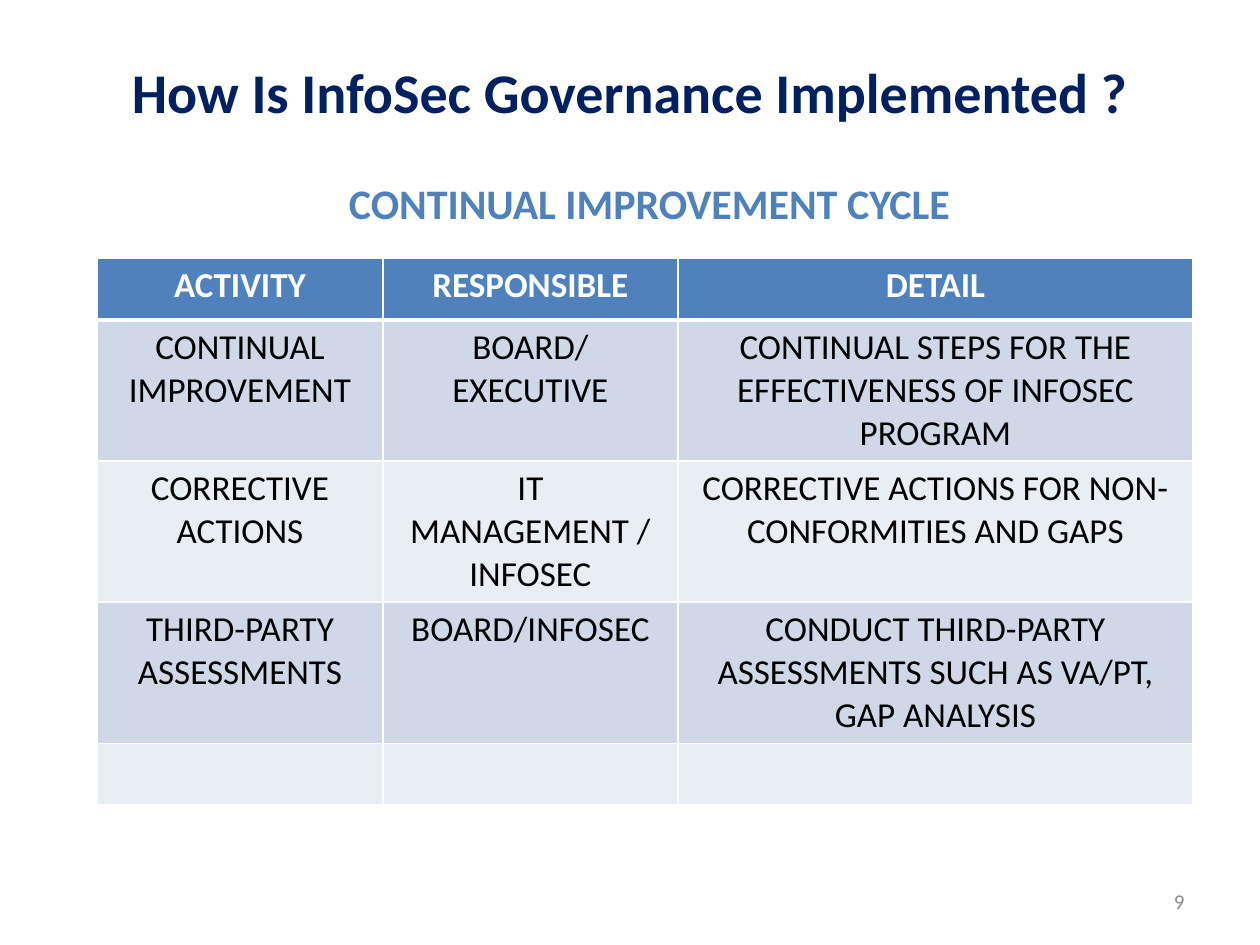
from dataclasses import dataclass

from lxml.etree import SubElement
from pptx import Presentation
from pptx.dml.color import RGBColor
from pptx.enum.text import MSO_ANCHOR, PP_ALIGN
from pptx.oxml.ns import qn
from pptx.util import Inches, Pt

COLORS = {
    "navy": "002060",
    "blue": "4F81BD",
    "band_dark": "D0D8E8",
    "band_light": "E9EDF4",
    "white": "FFFFFF",
    "black": "000000",
    "grey": "8C8C8C",
}
FONT = "Calibri"
COLUMN_WIDTHS = (2.27, 2.34, 4.09)
ROW_HEIGHTS = (0.49, 1.12, 1.12, 1.12, 0.49)
ACTIVITIES = (
    ("ACTIVITY", "RESPONSIBLE", "DETAIL"),
    ("CONTINUAL IMPROVEMENT", "BOARD/ EXECUTIVE",
     "CONTINUAL STEPS FOR THE EFFECTIVENESS OF INFOSEC PROGRAM"),
    ("CORRECTIVE ACTIONS", "IT MANAGEMENT / INFOSEC",
     "CORRECTIVE ACTIONS FOR NON-CONFORMITIES AND GAPS"),
    ("THIRD-PARTY ASSESSMENTS", "BOARD/INFOSEC",
     "CONDUCT THIRD-PARTY ASSESSMENTS SUCH AS VA/PT, GAP ANALYSIS"),
    ("", "", ""),
)


@dataclass(frozen=True)
class TextStyle:
    size: int
    color: str
    bold: bool = False
    align: PP_ALIGN = PP_ALIGN.CENTER


@dataclass(frozen=True)
class Label:
    text: str
    left: float
    top: float
    width: float
    height: float
    style: TextStyle
    anchor: MSO_ANCHOR = MSO_ANCHOR.MIDDLE


LABELS = (
    Label("How Is InfoSec Governance Implemented ?", 0.5, 0.23, 9, 0.98,
          TextStyle(32, "navy", True)),
    Label("CONTINUAL IMPROVEMENT CYCLE", 0.89, 1.36, 8.53, 0.5,
          TextStyle(24, "blue", True), MSO_ANCHOR.TOP),
    Label("9", 7.17, 6.95, 2.33, 0.4,
          TextStyle(12, "grey", align=PP_ALIGN.RIGHT)),
)
HEADER_STYLE = TextStyle(20, "white", True)
BODY_STYLE = TextStyle(20, "black")


def write_text(frame, text: str, style: TextStyle) -> None:
    """Fill the first paragraph of a text frame with one styled run."""
    paragraph = frame.paragraphs[0]
    paragraph.alignment = style.align
    run = paragraph.add_run()
    run.text = text
    run.font.name = FONT
    run.font.size = Pt(style.size)
    run.font.bold = style.bold
    run.font.color.rgb = RGBColor.from_string(COLORS[style.color])


def draw_label(slide, label: Label) -> None:
    """Place a wrapped text box on the slide."""
    box = slide.shapes.add_textbox(Inches(label.left), Inches(label.top),
                                   Inches(label.width), Inches(label.height))
    box.text_frame.word_wrap = True
    box.text_frame.vertical_anchor = label.anchor
    write_text(box.text_frame, label.text, label.style)


def draw_borders(cell, top: int, bottom: int) -> None:
    """Give a cell white borders of the given top and bottom widths in points."""
    properties = cell._tc.get_or_add_tcPr()
    for side, width in (("L", 1), ("R", 1), ("T", top), ("B", bottom)):
        line = SubElement(properties, qn(f"a:ln{side}"), w=str(Pt(width)))
        fill = SubElement(line, qn("a:solidFill"))
        SubElement(fill, qn("a:srgbClr"), val=COLORS["white"])


def draw_activity_table(slide) -> None:
    """Draw the banded table of activities."""
    table = slide.shapes.add_table(
        len(ROW_HEIGHTS), len(COLUMN_WIDTHS), Inches(0.77), Inches(2.05),
        Inches(sum(COLUMN_WIDTHS)), Inches(sum(ROW_HEIGHTS))).table
    for column, width in zip(table.columns, COLUMN_WIDTHS):
        column.width = Inches(width)
    for index, (row, height, texts) in enumerate(
            zip(table.rows, ROW_HEIGHTS, ACTIVITIES)):
        row.height = Inches(height)
        band = "band_dark" if index % 2 else "band_light"
        color = band if index else "blue"
        for cell, text in zip(row.cells, texts):
            draw_borders(cell, 3 if index == 1 else 1, 1 if index else 3)
            cell.fill.solid()
            cell.fill.fore_color.rgb = RGBColor.from_string(COLORS[color])
            if text:
                write_text(cell.text_frame, text,
                           BODY_STYLE if index else HEADER_STYLE)


def main() -> None:
    """Build and save the governance slide."""
    presentation = Presentation()
    presentation.slide_width = Inches(10)
    presentation.slide_height = Inches(7.5)
    slide = presentation.slides.add_slide(presentation.slide_layouts[6])
    for label in LABELS:
        draw_label(slide, label)
    draw_activity_table(slide)
    presentation.save("out.pptx")


if __name__ == "__main__":
    main()
